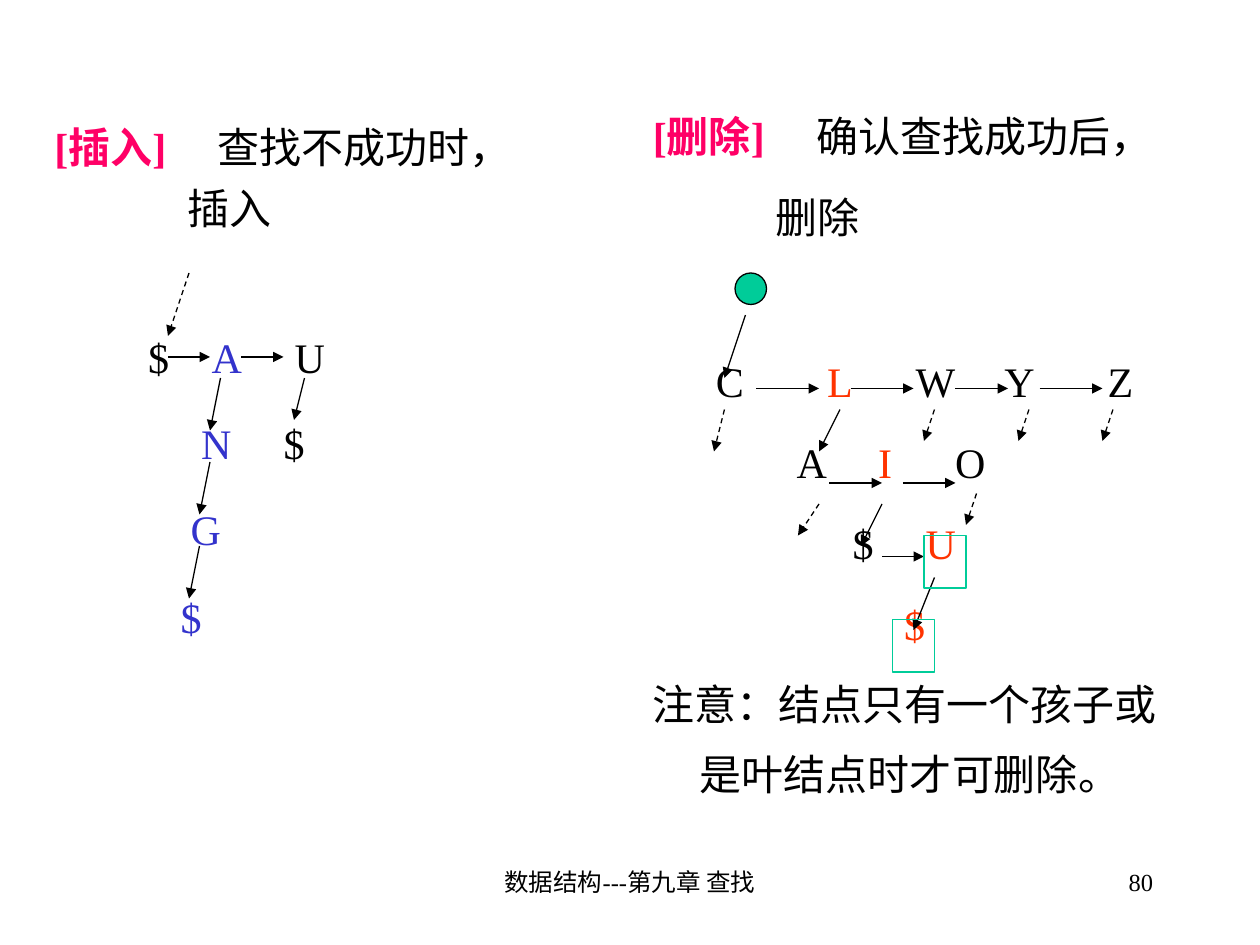
from typing import NamedTuple

from lxml.etree import SubElement
from pptx import Presentation
from pptx.dml.color import RGBColor
from pptx.enum.dml import MSO_LINE_DASH_STYLE as Dash
from pptx.enum.shapes import MSO_CONNECTOR as Connector, MSO_SHAPE as Preset
from pptx.enum.text import MSO_ANCHOR as Anchor, PP_ALIGN as Align
from pptx.oxml.ns import qn
from pptx.util import Cm, Pt

FONT = "Times New Roman"
BLACK, PINK, BLUE, RED, GREEN = "000000", "FF0066", "3333CC", "FF3300", "00CC99"
UNITS_PER_INCH = 12


class Box(NamedTuple):
    left: float
    top: float
    width: float
    height: float


class Node(NamedTuple):
    text: str
    x: float
    y: float
    color: str = BLACK


class Arrow(NamedTuple):
    x1: float
    y1: float
    x2: float
    y2: float
    dashed: bool = False


class Heading(NamedTuple):
    box: Box
    tag: str
    condition: str
    action: str
    action_indent: float
    line_spacing: float


class Outline(NamedTuple):
    preset: Preset
    box: Box
    line: str
    fill: str | None = None


HEADINGS = [
    Heading(Box(4, 11, 55, 12), "[插入]", "查找不成功时，", "插入", 2.68, 1),
    Heading(Box(61, 8, 53, 16), "[删除]", "确认查找成功后，", "删除", 2.48, 1.4),
]

NODES = [
    Node("$", 15.1, 34), Node("A", 21.6, 34, BLUE), Node("U", 29.5, 34),
    Node("N", 20.6, 42.2, BLUE), Node("$", 28, 42.2),
    Node("G", 19.6, 50.4, BLUE),
    Node("$", 18.2, 58.7, BLUE),
    Node("C", 69.5, 36.3), Node("L", 80, 36.3, RED), Node("W", 89.1, 36.3),
    Node("Y", 97.1, 36.3), Node("Z", 106.7, 36.3),
    Node("A", 77.3, 44), Node("I", 84.3, 44, RED), Node("O", 92.4, 44),
    Node("$", 82.2, 51.7), Node("U", 89.6, 51.7, RED),
    Node("$", 87.1, 59.4, RED),
]

ARROWS = [
    Arrow(18, 26, 16, 32, True), Arrow(16, 34, 20, 34), Arrow(23, 34, 27, 34),
    Arrow(29, 36, 28, 40), Arrow(21, 36, 20, 41),
    Arrow(20, 44, 19, 49), Arrow(19, 52, 18, 57),
    Arrow(71, 30, 69, 36), Arrow(72, 37, 78, 37), Arrow(81, 37, 87, 37),
    Arrow(91, 37, 96, 37), Arrow(99, 37, 105, 37),
    Arrow(69, 39, 68, 43, True), Arrow(89, 39, 88, 42, True),
    Arrow(98, 39, 97, 42, True), Arrow(106, 39, 105, 42, True),
    Arrow(80, 39, 78, 43), Arrow(79, 46, 84, 46), Arrow(86, 46, 91, 46),
    Arrow(78, 48, 76, 51, True), Arrow(84, 48, 82, 52),
    Arrow(93, 47, 92, 50, True), Arrow(84, 53, 88, 53), Arrow(89, 55, 87, 60),
]

OUTLINES = [
    Outline(Preset.OVAL, Box(70, 26, 3, 3), BLACK, GREEN),
    Outline(Preset.RECTANGLE, Box(85, 59, 4, 5), GREEN),
    Outline(Preset.RECTANGLE, Box(88, 51, 4, 5), GREEN),
]


def grid(units: float) -> Cm:
    return Cm(units * 2.54 / UNITS_PER_INCH)


def rgb(color: str) -> RGBColor:
    return RGBColor.from_string(color)


def style_run(run, color: str = BLACK, size: float = 24, bold: bool = False) -> None:
    run.font.name = FONT
    run.font.size = Pt(size)
    run.font.bold = bold
    run.font.color.rgb = rgb(color)


def add_text(slide, box: Box, text: str, align: Align = Align.LEFT,
             color: str = BLACK, size: float = 24):
    shape = slide.shapes.add_textbox(*map(grid, box))
    text_frame = shape.text_frame
    text_frame.word_wrap = True
    text_frame.text = text
    for paragraph in text_frame.paragraphs:
        paragraph.alignment = align
        for run in paragraph.runs:
            style_run(run, color, size)
    return text_frame


def add_heading(slide, heading: Heading) -> None:
    text_frame = add_text(slide, heading.box, f"{heading.tag}\n{heading.action}")
    first, second = text_frame.paragraphs
    condition = first.add_run()
    condition.text = f"\t{heading.condition}"
    style_run(first.runs[0], PINK, bold=True)
    style_run(condition)
    second.space_before = Pt(6)
    for paragraph in (first, second):
        paragraph.line_spacing = heading.line_spacing
    tabs = SubElement(first._p.get_or_add_pPr(), qn("a:tabLst"))
    SubElement(tabs, qn("a:tab"), pos=str(Cm(3.29)), algn="l")
    second._p.get_or_add_pPr().set("marL", str(Cm(heading.action_indent)))


def add_note(slide) -> None:
    text_frame = add_text(slide, Box(61, 62.1, 53, 17),
                          "注意：结点只有一个孩子或是叶结点时才可删除。")
    paragraph = text_frame.paragraphs[0]
    paragraph.line_spacing = 1.4
    properties = paragraph._p.get_or_add_pPr()
    properties.set("marL", str(Cm(0.95)))
    properties.set("indent", str(-Cm(0.95)))


def add_node(slide, node: Node) -> None:
    width, height = 4, 6
    box = Box(node.x - width / 2, node.y - height / 2, width, height)
    text_frame = add_text(slide, box, node.text, Align.CENTER, node.color)
    text_frame.margin_left = text_frame.margin_right = 0
    text_frame.margin_top = text_frame.margin_bottom = 0
    text_frame.vertical_anchor = Anchor.MIDDLE


def add_arrow(slide, arrow: Arrow) -> None:
    connector = slide.shapes.add_connector(Connector.STRAIGHT, *map(grid, arrow[:4]))
    connector.line.color.rgb = rgb(BLACK)
    connector.line.width = Pt(0.75)
    if arrow.dashed:
        connector.line.dash_style = Dash.DASH
    SubElement(connector.line._get_or_add_ln(), qn("a:tailEnd"), type="triangle")
    SubElement(connector._element.spPr, qn("a:effectLst"))


def add_outline(slide, outline: Outline) -> None:
    shape = slide.shapes.add_shape(outline.preset, *map(grid, outline.box))
    shape.shadow.inherit = False
    shape.line.color.rgb = rgb(outline.line)
    shape.line.width = Pt(0.75)
    if outline.fill:
        shape.fill.solid()
        shape.fill.fore_color.rgb = rgb(outline.fill)
    else:
        shape.fill.background()


def main() -> None:
    presentation = Presentation()
    presentation.slide_width = Cm(25.4)
    presentation.slide_height = Cm(19.05)
    slide = presentation.slides.add_slide(presentation.slide_layouts[6])
    add_text(slide, Box(41, 82, 38, 6), "数据结构---第九章 查找", Align.CENTER, size=14)
    add_text(slide, Box(86, 82, 25, 6), "80", Align.RIGHT, size=14)
    for heading in HEADINGS:
        add_heading(slide, heading)
    add_note(slide)
    for node in NODES:
        add_node(slide, node)
    for arrow in ARROWS:
        add_arrow(slide, arrow)
    for outline in OUTLINES:
        add_outline(slide, outline)
    presentation.save("out.pptx")


if __name__ == "__main__":
    main()
